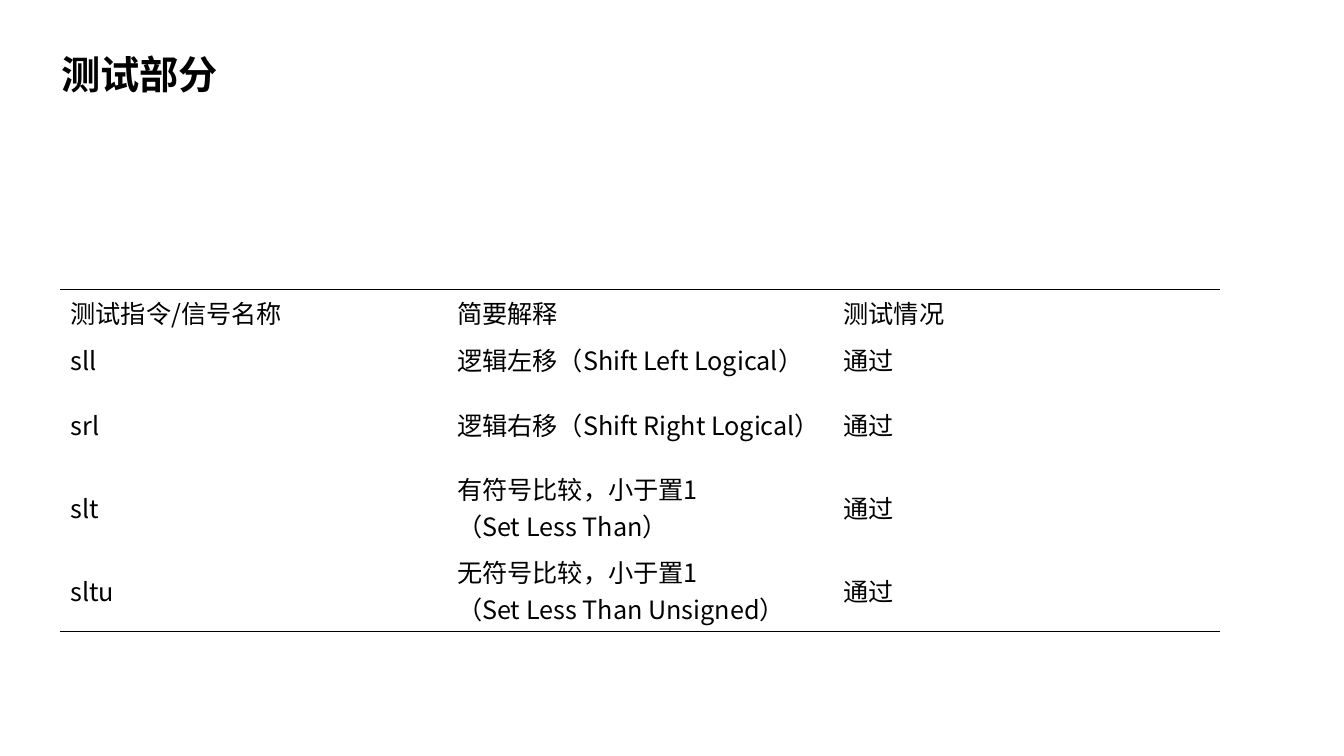
from lxml.etree import SubElement
from pptx import Presentation
from pptx.dml.color import RGBColor as RGB
from pptx.enum.text import MSO_ANCHOR as Anchor, MSO_AUTO_SIZE as Fit
from pptx.oxml import parse_xml
from pptx.oxml.ns import qn, nsdecls
from pptx.util import Inches, Pt

# Content
TITLE = "测试部分"
ROWS = [
    ("测试指令/信号名称", "简要解释", "测试情况"),
    ("sll", "逻辑左移（Shift Left Logical）", "通过"),
    ("srl", "逻辑右移（Shift Right Logical）", "通过"),
    ("slt", "有符号比较，小于置1\n（Set Less Than）", "通过"),
    ("sltu", "无符号比较，小于置1\n（Set Less Than Unsigned）", "通过"),
]
LINES = [1, 1, 2, 2, 2]  # text lines in each row

# Format
COLORS = {"ink": "000000"}
FONT = "Noto Sans CJK SC"
PLAIN = "{2D5ABB26-0587-4C30-8999-92F81FD0307C}"  # table style without grid
LEFT, TOP, WIDTH = 0.6, 2.87, 11.5
PAD, LINE = 0.1, 0.36


def write(frame, text, size=18, bold=False, color="ink"):
    for i, line in enumerate(text.split("\n")):
        para = frame.add_paragraph() if i else frame.paragraphs[0]
        run = para.add_run()
        run.text = line
        font = run.font
        font.size, font.bold, font.name = Pt(size), bold, FONT
        font.color.rgb = RGB.from_string(COLORS[color])
        SubElement(font._element, qn("a:ea"), typeface=FONT)


def rule(cell, side, color="ink"):
    line = parse_xml(
        f'<a:ln{side} {nsdecls("a")} w="{Pt(1)}"><a:solidFill>'
        f'<a:srgbClr val="{COLORS[color]}"/></a:solidFill></a:ln{side}>')
    cell._tc.get_or_add_tcPr().insert(0, line)


deck = Presentation()
deck.slide_width, deck.slide_height = Inches(13.33), Inches(7.5)
slide = deck.slides.add_slide(deck.slide_layouts[6])

# Table
highs = [PAD + LINE * n for n in LINES]
table = slide.shapes.add_table(
    len(ROWS), len(ROWS[0]), Inches(LEFT), Inches(TOP),
    Inches(WIDTH), Inches(sum(highs))).table
table.first_row = table.horz_banding = False
table._tbl.tblPr.find(qn("a:tableStyleId")).text = PLAIN
for r, row in enumerate(ROWS):
    table.rows[r].height = Inches(highs[r])
    for c, text in enumerate(row):
        cell = table.cell(r, c)
        cell.vertical_anchor = Anchor.MIDDLE
        cell.fill.background()
        write(cell.text_frame, text)
        if r == 0:
            rule(cell, "T")
        elif r == len(ROWS) - 1:
            rule(cell, "B")

# Title
box = slide.shapes.add_textbox(
    Inches(0.51), Inches(0.45), Inches(1.77), Inches(0.57))
box.text_frame.word_wrap = False
box.text_frame.auto_size = Fit.SHAPE_TO_FIT_TEXT
write(box.text_frame, TITLE, size=28, bold=True)

deck.save("out.pptx")
